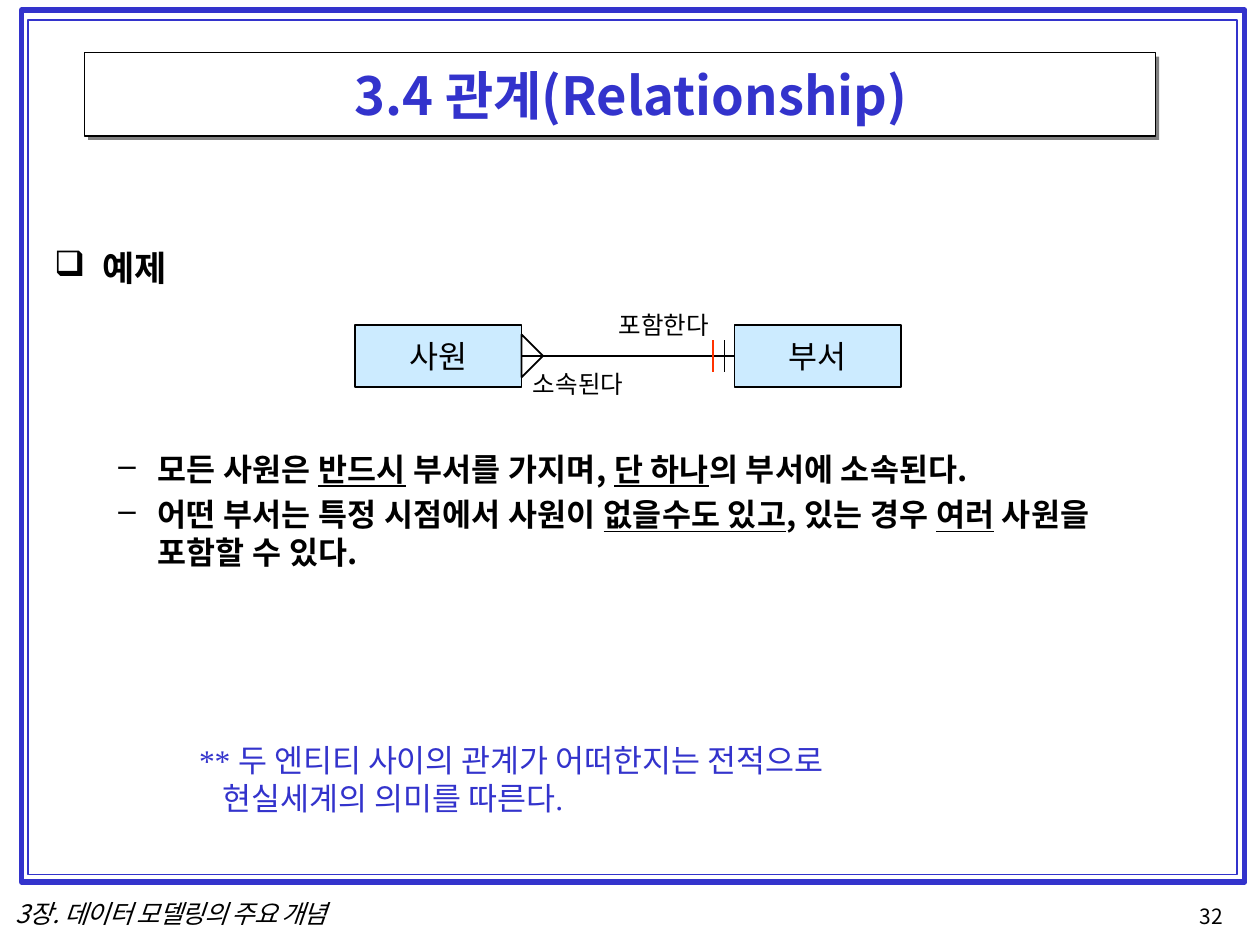
"""Build the slide on relationships between two entities."""
from lxml import etree
from pptx import Presentation
from pptx.dml.color import RGBColor
from pptx.enum.shapes import MSO_CONNECTOR, MSO_SHAPE
from pptx.enum.text import MSO_ANCHOR, PP_ALIGN
from pptx.oxml.ns import qn
from pptx.util import Inches, Pt

RECTANGLE = MSO_SHAPE.RECTANGLE
STRAIGHT = MSO_CONNECTOR.STRAIGHT
CENTER, MIDDLE = PP_ALIGN.CENTER, MSO_ANCHOR.MIDDLE

BLUE = RGBColor(0x33, 0x33, 0xCC)
BLACK = RGBColor(0, 0, 0)
GRAY = RGBColor(0x80, 0x80, 0x80)
LIGHT_BLUE = RGBColor(0xCC, 0xEB, 0xFF)
RED = RGBColor(0xFF, 0x33, 0x00)

SANS, SERIF = "Noto Sans CJK KR", "Times New Roman"
SLIDE_WIDTH, SLIDE_HEIGHT = 10, 7.5

FRAMES = [((0.17, 0.08, 9.71, 6.92), 3), ((0.22, 0.16, 9.6, 6.78), 0.96)]
TITLE_BOX = (0.67, 0.42, 8.5, 0.66)
SHADOW_OFFSET = 0.03

ENTITIES = [("사원", 2.82), ("부서", 5.83)]
ENTITY_TOP, ENTITY_WIDTH, ENTITY_HEIGHT = 2.58, 1.32, 0.49
AXIS = ENTITY_TOP + ENTITY_HEIGHT / 2
TICK_HALF = 0.125
TICKS = [(5.66, RED), (5.75, BLACK)]
CROW_FOOT_WIDTH, CROW_FOOT_HALF = 0.17, 0.17

UNDERLINE = {"underline": True}
SERIF_FONT = {"name": SERIF}
TITLE = [[("3.4 관계(Relationship)", {})]]
HEADING = [[("예제", {})]]
RULES = [
    [("모든 사원은 ", {}), ("반드시", UNDERLINE), (" 부서를 가지며, ", {}),
     ("단 하나", UNDERLINE), ("의 부서에 소속된다.", {})],
    [("어떤 부서는 특정 시점에서 사원이 ", {}), ("없을수도 있고", UNDERLINE),
     (", 있는 경우 ", {}), ("여러", UNDERLINE),
     (" 사원을 포함할 수 있다.", {})],
]
REMARK = [
    [("** ", SERIF_FONT), ("두 엔티티 사이의 관계가 어떠한지는 전적으로", {})],
    [("현실세계의 의미를 따른다", {}), (".", SERIF_FONT)],
]

TEXTS = [
    (TITLE, (0.67, 0.5, 8.49, 0.53),
     dict(size=30, color=BLUE, bold=True, margins=[2.14], before=[1])),
    (HEADING, (0.42, 1.96, 1.2, 0.36),
     dict(size=20, bold=True, margins=[0.39], hanging=0.38, bullet="❑",
          spacing=10, before=[1])),
    (RULES, (0.92, 3.57, 8.35, 0.98),
     dict(size=18, bold=True, margins=[0.33, 0.33], hanging=0.31, bullet="–",
          spacing=13, before=[5.3, 4.3])),
    (REMARK, (1.57, 5.88, 5.4, 0.63),
     dict(size=18, color=BLUE, margins=[0.01, 0.2], spacing=-4, before=[1, 0])),
    ([[("포함한다", {})]], (4.9, 2.46, 0.81, 0.26), dict(size=14, before=[1])),
    ([[("소속된다", {})]], (4.22, 2.93, 0.81, 0.26), dict(size=14, before=[1])),
    ([[("3장. 데이터 모델링의 주요 개념", {})]], (0.11, 7.14, 2.8, 0.23),
     dict(size=14.5, italic=True, spacing=-50, line=16.6)),
    ([[("32", {})]], (9.48, 7.18, 0.29, 0.19),
     dict(size=12, margins=[0.04], line=13.7)),
]


def style_shape(shape, fill=None, line=None, width=0.96):
    shape.shadow.inherit = False
    if fill is None:
        shape.fill.background()
    else:
        shape.fill.solid()
        shape.fill.fore_color.rgb = fill
    if line is None:
        shape.line.fill.background()
    else:
        shape.line.color.rgb = line
        shape.line.width = Pt(width)


def add_rectangle(slide, box, **style):
    shape = slide.shapes.add_shape(RECTANGLE, *map(Inches, box))
    style_shape(shape, **style)
    return shape


def add_outline(slide, points, **style):
    start, *others = [(Inches(x), Inches(y)) for x, y in points]
    builder = slide.shapes.build_freeform(*start)
    builder.add_line_segments(others, close=True)
    style_shape(builder.convert_to_shape(), **style)


def add_line(slide, x1, y1, x2, y2, color):
    line = slide.shapes.add_connector(STRAIGHT, *map(Inches, (x1, y1, x2, y2)))
    line.line.color.rgb = color
    line.line.width = Pt(0.96)
    etree.SubElement(line._element.spPr, qn("a:effectLst"))


def set_font(paragraph, size, color=BLACK, bold=False, italic=False, spacing=0):
    font = paragraph.font
    font.name, font.size, font.bold, font.italic = SANS, Pt(size), bold, italic
    font.color.rgb = color
    properties = paragraph._p.pPr.find(qn("a:defRPr"))
    properties.set("spc", str(spacing))
    east_asian = etree.Element(qn("a:ea"), typeface=SANS)
    properties.find(qn("a:latin")).addnext(east_asian)


def set_indent(paragraph, margin, hanging, bullet):
    properties = paragraph._p.get_or_add_pPr()
    properties.set("marL", str(Inches(margin)))
    properties.set("indent", str(-Inches(hanging)))
    if bullet:
        mark = etree.Element(qn("a:buChar"), char=bullet)
        properties.find(qn("a:defRPr")).addprevious(mark)


def add_text(slide, paragraphs, box, margins=(0.01,), hanging=0, bullet=None,
             before=(0,), line=None, **font):
    frame = slide.shapes.add_textbox(*map(Inches, box)).text_frame
    frame.word_wrap = True
    frame.margin_left = frame.margin_right = 0
    frame.margin_top = frame.margin_bottom = 0
    for index, runs in enumerate(paragraphs):
        paragraph = frame.add_paragraph() if index else frame.paragraphs[0]
        paragraph.space_before = Pt(before[index])
        if line:
            paragraph.line_spacing = Pt(line)
        set_font(paragraph, **font)
        set_indent(paragraph, margins[index], hanging, bullet)
        for text, changes in runs:
            run = paragraph.add_run()
            run.text = text
            for name, value in changes.items():
                setattr(run.font, name, value)


def add_title_box(slide):
    left, top, width, height = TITLE_BOX
    right, bottom, step = left + width, top + height, SHADOW_OFFSET
    add_outline(slide, [
        (right, top + step), (right + step, top + step),
        (right + step, bottom + step), (left + step, bottom + step),
        (left + step, bottom), (right, bottom)], fill=GRAY)
    add_rectangle(slide, TITLE_BOX, line=BLACK, width=0.72)


def add_diagram(slide):
    for name, left in ENTITIES:
        box = (left, ENTITY_TOP, ENTITY_WIDTH, ENTITY_HEIGHT)
        entity = add_rectangle(slide, box, fill=LIGHT_BLUE, line=BLACK)
        entity.text_frame.vertical_anchor = MIDDLE
        paragraph = entity.text_frame.paragraphs[0]
        paragraph.text = name
        paragraph.alignment = CENTER
        set_font(paragraph, 18)
    start, end = ENTITIES[0][1] + ENTITY_WIDTH, ENTITIES[1][1]
    add_line(slide, start, AXIS, end, AXIS, BLACK)
    add_outline(slide, [
        (start + CROW_FOOT_WIDTH, AXIS), (start, AXIS + CROW_FOOT_HALF),
        (start, AXIS - CROW_FOOT_HALF)], line=BLACK, width=1)
    for x, color in TICKS:
        add_line(slide, x, AXIS - TICK_HALF, x, AXIS + TICK_HALF, color)


def main():
    presentation = Presentation()
    presentation.slide_width = Inches(SLIDE_WIDTH)
    presentation.slide_height = Inches(SLIDE_HEIGHT)
    slide = presentation.slides.add_slide(presentation.slide_layouts[6])
    for box, width in FRAMES:
        add_rectangle(slide, box, line=BLUE, width=width)
    add_title_box(slide)
    add_diagram(slide)
    for paragraphs, box, style in TEXTS:
        add_text(slide, paragraphs, box, **style)
    presentation.save("out.pptx")


if __name__ == "__main__":
    main()
